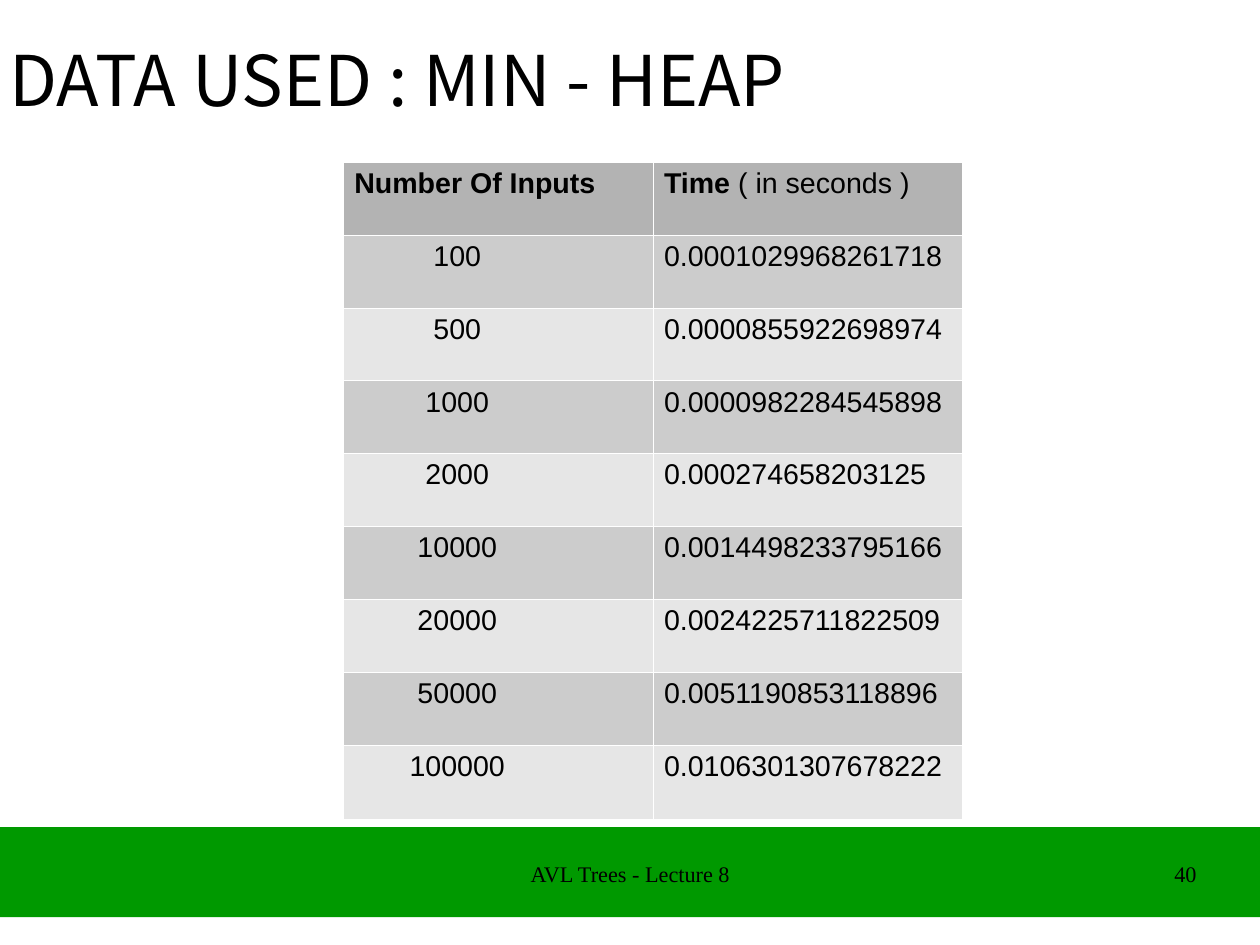
"""Build the min-heap timing slide with its table and footer."""
from lxml.etree import SubElement
from pptx import Presentation
from pptx.dml.color import RGBColor
from pptx.enum.shapes import MSO_SHAPE
from pptx.enum.text import PP_ALIGN
from pptx.oxml.ns import qn
from pptx.util import Pt

BLACK = RGBColor(0x00, 0x00, 0x00)
GREEN = RGBColor(0x00, 0x99, 0x00)
HEAD = RGBColor(0xB3, 0xB3, 0xB3)
DARK = RGBColor(0xCC, 0xCC, 0xCC)
LIGHT = RGBColor(0xE6, 0xE6, 0xE6)


def add_run(para, text, size, font, bold=False):
    run = para.add_run()
    run.text = text
    run.font.size = Pt(size)
    run.font.name = font
    run.font.bold = bold
    run.font.color.rgb = BLACK


def add_label(box, inset, text, size, font, align):
    frame = slide.shapes.add_textbox(*map(Pt, box)).text_frame
    frame.word_wrap = True
    frame.margin_left = frame.margin_right = Pt(inset)
    frame.margin_top = frame.margin_bottom = Pt(inset / 2)
    frame.paragraphs[0].alignment = align
    add_run(frame.paragraphs[0], text, size, font)


deck = Presentation()
deck.slide_width, deck.slide_height = Pt(793.75), Pt(595.25)
slide = deck.slides.add_slide(deck.slide_layouts[6])

band = slide.shapes.add_shape(
    MSO_SHAPE.RECTANGLE, 0, Pt(521), deck.slide_width, Pt(56.8))
band.shadow.inherit = False
band.fill.solid()
band.fill.fore_color.rgb = GREEN
band.line.fill.background()

times = [
    ("100", "0.0001029968261718"),
    ("500", "0.0000855922698974"),
    ("1000", "0.0000982284545898"),
    ("2000", "0.000274658203125"),
    ("10000", "0.0014498233795166"),
    ("20000", "0.0024225711822509"),
    ("50000", "0.0051190853118896"),
    ("100000", "0.0106301307678222"),
]
rows = [[[("Number Of Inputs", True)],
         [("Time", True), (" ( in seconds )", False)]]]
rows += [[[(count, False)], [(time, False)]] for count, time in times]

table = slide.shapes.add_table(
    len(rows), 2, Pt(216), Pt(102), Pt(390.24), Pt(413.8)).table
table.first_row = table.horz_banding = False
for col in table.columns:
    col.width = Pt(195.12)

for i, row in enumerate(rows):
    table.rows[i].height = Pt(45.9)
    for j, runs in enumerate(row):
        cell = table.cell(i, j)
        para = cell.text_frame.paragraphs[0]
        for text, bold in runs:
            add_run(para, text, 18, "Arial", bold)
        if i and j == 0:
            para.alignment = PP_ALIGN.CENTER
            cell.margin_right = Pt(58.3)
        props = cell._tc.get_or_add_tcPr()
        for side in ("lnL", "lnR", "lnT", "lnB"):
            edge = SubElement(props, qn("a:" + side), w="762")
            paint = SubElement(edge, qn("a:solidFill"))
            SubElement(paint, qn("a:srgbClr"), val="FFFFFF")
        cell.fill.solid()
        cell.fill.fore_color.rgb = HEAD if i == 0 else DARK if i % 2 else LIGHT
table.rows[8].height = Pt(46.6)

add_label((-1, 19.8, 783.36, 137.52), 7.2, "DATA USED : MIN - HEAP",
          44, "Noto Sans CJK SC", PP_ALIGN.LEFT)
add_label((271.44, 542.16, 251.28, 41.04), 0, "AVL Trees - Lecture 8",
          14, "Times New Roman", PP_ALIGN.CENTER)
add_label((568.8, 542.16, 185.04, 41.04), 0, "40",
          14, "Times New Roman", PP_ALIGN.RIGHT)

deck.save("out.pptx")
